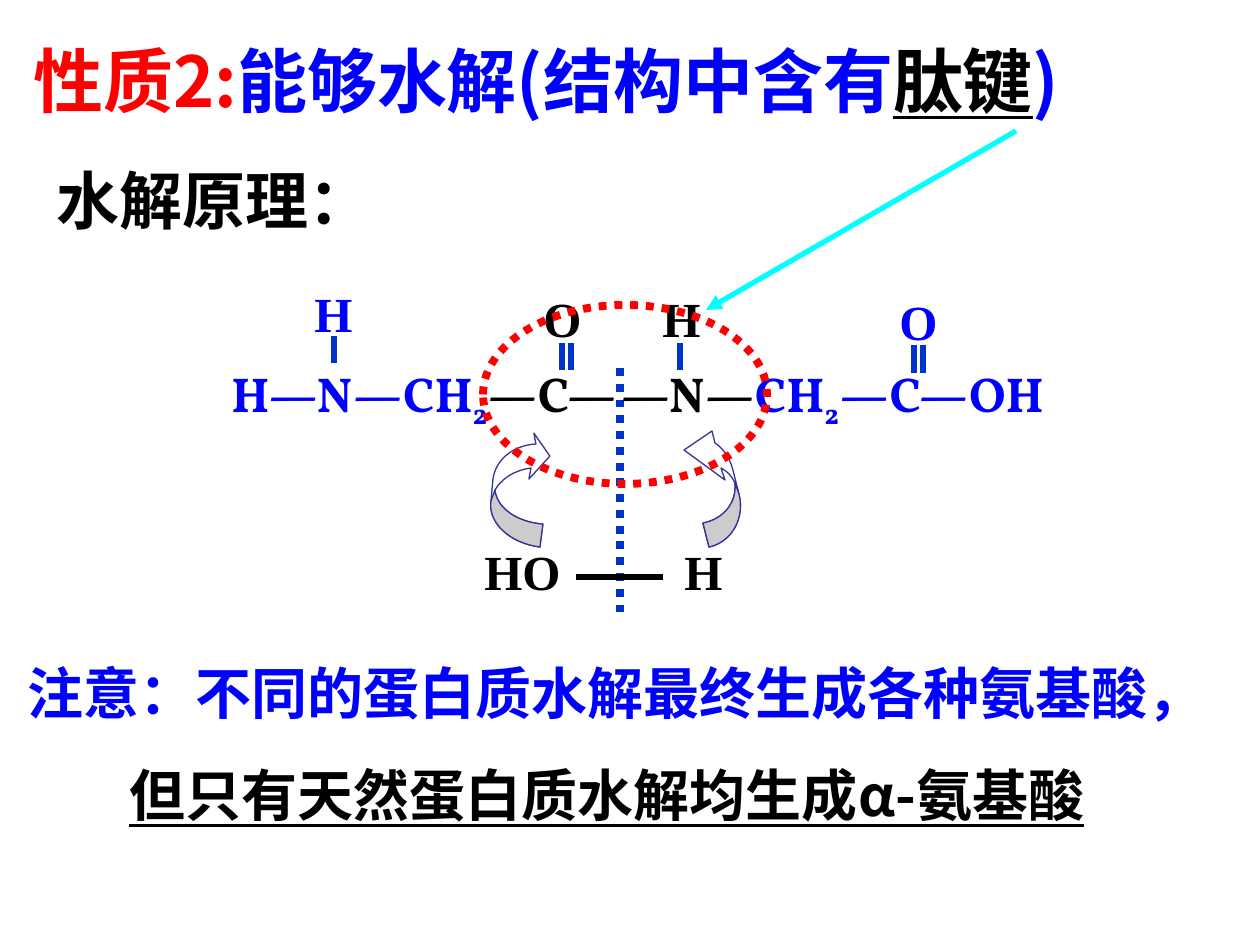
from math import cos, radians, sin
from typing import NamedTuple, Optional

from lxml import etree
from pptx import Presentation
from pptx.dml.color import RGBColor
from pptx.enum.dml import MSO_LINE
from pptx.enum.shapes import MSO_CONNECTOR, MSO_SHAPE
from pptx.oxml.ns import qn
from pptx.util import Pt

PX = 914400 / 126  # EMU in one px

BLACK = RGBColor(0, 0, 0)
BLUE = RGBColor(0, 0, 255)
RED = RGBColor(255, 0, 0)
BOND_BLUE = RGBColor(0, 0x33, 0xCC)
CYAN = RGBColor(0, 255, 255)
WHITE = RGBColor(255, 255, 255)
OUTLINE = RGBColor(0x33, 0x33, 0x99)

SERIF = "Times New Roman"
FORMULA = "Vollkorn"
CJK = "Noto Sans CJK SC"

STRAIGHT = MSO_CONNECTOR.STRAIGHT
ELLIPSE = MSO_SHAPE.OVAL
DOTTED = MSO_LINE.ROUND_DOT  # written as sysDot


class Span(NamedTuple):
    text: str
    color: RGBColor = BLACK
    underline: bool = False
    subscript: bool = False


class Atom(NamedTuple):
    text: str
    left: int
    top: int
    width: int
    color: RGBColor = BLACK


class Bond(NamedTuple):
    x: int
    top: int
    bottom: int


class CurvedArrow(NamedTuple):
    """Outlines as drawn on the slide: 2 numbers for a line, 6 for a curve."""
    left: int
    top: int
    width: int
    height: int
    rotation: float
    body: list
    tail: list


def emu(px: float) -> int:
    return round(px * PX)


def write_paragraph(paragraph, spans: list, *, size: int, font: str) -> None:
    for span in spans:
        run = paragraph.add_run()
        run.text = span.text
        run.font.size = Pt(size)
        run.font.bold = True
        run.font.name = font
        run.font.color.rgb = span.color
        if span.underline:
            run.font.underline = True
        props = run._r.get_or_add_rPr()
        if span.subscript:
            props.set("baseline", "-25000")
        etree.SubElement(props, qn("a:ea")).set("typeface", CJK)


def add_text(slide, left: int, top: int, width: int, height: int, spans: list,
             *, size: int = 28, font: str = SERIF, wrap: bool = True):
    box = slide.shapes.add_textbox(emu(left), emu(top), emu(width), emu(height))
    box.text_frame.word_wrap = wrap
    write_paragraph(box.text_frame.paragraphs[0], spans, size=size, font=font)
    return box.text_frame


def add_line(slide, start: tuple, end: tuple, *, color: RGBColor, width: float = 3,
             dash: Optional[MSO_LINE] = None, arrow: bool = False) -> None:
    line = slide.shapes.add_connector(STRAIGHT, *map(emu, start + end))
    line.line.color.rgb = color
    line.line.width = Pt(width)
    if dash is not None:
        line.line.dash_style = dash
    if arrow:
        etree.SubElement(line.line._get_or_add_ln(), qn("a:tailEnd")).set("type", "triangle")
    etree.SubElement(line._element.spPr, qn("a:effectLst"))


def unrotated(arrow: CurvedArrow, x: float, y: float) -> tuple:
    """Slide point to a point in the arrow's own box."""
    angle = radians(-arrow.rotation)
    dx = x - arrow.left - arrow.width / 2
    dy = y - arrow.top - arrow.height / 2
    return (dx * cos(angle) - dy * sin(angle) + arrow.width / 2,
            dx * sin(angle) + dy * cos(angle) + arrow.height / 2)


def add_outline(paths, arrow: CurvedArrow, outline: list, fill: str) -> None:
    path = etree.SubElement(paths, qn("a:path"), w=str(emu(arrow.width)),
                            h=str(emu(arrow.height)), fill=fill)
    for index, step in enumerate(outline):
        tag = "a:moveTo" if index == 0 else "a:lnTo" if len(step) == 2 else "a:cubicBezTo"
        node = etree.SubElement(path, qn(tag))
        for point in zip(step[::2], step[1::2]):
            x, y = unrotated(arrow, *point)
            etree.SubElement(node, qn("a:pt"), x=str(emu(x)), y=str(emu(y)))
    etree.SubElement(path, qn("a:close"))


def add_curved_arrow(slide, arrow: CurvedArrow) -> None:
    left, top = emu(arrow.left), emu(arrow.top)
    right, bottom = left + emu(arrow.width), top + emu(arrow.height)
    builder = slide.shapes.build_freeform(left, top)
    builder.add_line_segments([(right, top), (right, bottom), (left, bottom)])
    shape = builder.convert_to_shape()
    paths = shape._element.spPr.find(".//" + qn("a:pathLst"))
    for frame in list(paths):
        paths.remove(frame)
    add_outline(paths, arrow, arrow.body, "norm")
    add_outline(paths, arrow, arrow.tail, "darkenLess")
    shape.rotation = arrow.rotation
    shape.shadow.inherit = False
    shape.fill.solid()
    shape.fill.fore_color.rgb = WHITE
    shape.line.color.rgb = OUTLINE
    shape.line.width = Pt(0.75)


CURVED_ARROWS = [
    CurvedArrow(693, 418, 42, 126, 165.6,
                [(709, 547), (732, 542, 745, 518, 739, 494), (733, 470),
                 (730, 458, 723, 448, 715, 443), (712, 431), (684, 450), (725, 480),
                 (721, 468), (727, 471, 732, 476, 735, 483),
                 (737, 502, 724, 519, 703, 523)],
                [(709, 547), (732, 542, 745, 518, 739, 494), (735, 483),
                 (737, 502, 724, 519, 703, 523)]),
    CurvedArrow(462, 461, 113, 53, 276.3,
                [(540, 547), (510, 543, 488, 523, 491, 501), (493, 479),
                 (496, 458, 515, 445, 536, 444), (534, 433), (550, 456), (529, 479),
                 (531, 468), (515, 470, 502, 478, 495, 490),
                 (497, 508, 517, 522, 543, 524)],
                [(540, 547), (510, 543, 488, 523, 491, 501), (495, 490),
                 (497, 508, 517, 522, 543, 524)]),
]

ATOMS = [
    Atom("H", 302, 277, 71, BLUE),
    Atom("O", 531, 282, 91),
    Atom("H", 650, 282, 71),
    Atom("O", 887, 285, 91, BLUE),
    Atom("HO", 472, 535, 142),
    Atom("H", 672, 535, 77),
]

BONDS = [Bond(334, 336, 363), Bond(562, 343, 370), Bond(571, 343, 370),
         Bond(680, 343, 370), Bond(914, 345, 373), Bond(923, 345, 373)]


def main() -> None:
    prs = Presentation()
    prs.slide_width, prs.slide_height = emu(1260), emu(945)
    slide = prs.slides.add_slide(prs.slide_layouts[6])

    # Subtitle and curved arrows
    add_text(slide, 44, 155, 417, 88, [Span("水解原理：")], size=36)
    for arrow in CURVED_ARROWS:
        add_curved_arrow(slide, arrow)

    # Closing note
    note = add_text(slide, 15, 612, 1349, 223,
                    [Span("注意：不同的蛋白质水解最终生成各种氨基酸，", BLUE)], size=32)
    note.paragraphs[0].line_spacing = 1.6
    conclusion = note.add_paragraph()
    conclusion.space_before = Pt(20)
    conclusion._p.get_or_add_pPr().set("marL", str(emu(102)))
    write_paragraph(conclusion, [Span("但只有天然蛋白质水解均生成α-氨基酸", underline=True)],
                    size=32, font=CJK)

    # Cleavage line and dipeptide
    add_line(slide, (620, 368), (620, 620), color=BOND_BLUE, width=4.5, dash=DOTTED)
    for bond in BONDS:
        add_line(slide, (bond.x, bond.top), (bond.x, bond.bottom), color=BOND_BLUE)
    for atom in ATOMS:
        add_text(slide, atom.left, atom.top, atom.width, 72, [Span(atom.text, atom.color)])
    subscript_two = Span("2", BLUE, subscript=True)
    add_text(slide, 219, 357, 421, 79,
             [Span("H—N—CH", BLUE), subscript_two, Span("—C—")],
             font=FORMULA, wrap=False)
    add_text(slide, 608, 357, 459, 79,
             [Span("—N—"), Span("CH", BLUE), subscript_two, Span("—C—OH", BLUE)],
             font=FORMULA, wrap=False)

    # Water bond
    add_line(slide, (576, 577), (663, 577), color=BLACK)

    # Peptide bond ring and its pointer
    ring = slide.shapes.add_shape(ELLIPSE, emu(483), emu(305), emu(284), emu(179))
    ring.shadow.inherit = False
    ring.fill.background()
    ring.line.color.rgb = RED
    ring.line.width = Pt(4.5)
    ring.line.dash_style = DOTTED
    add_line(slide, (1016, 131), (706, 310), color=CYAN, arrow=True)

    # Title
    add_text(slide, 21, 31, 1176, 181,
             [Span("性质2:", RED), Span("能够水解(结构中含有", BLUE),
              Span("肽键", underline=True), Span(")", BLUE)], size=40, font=CJK)

    prs.save("out.pptx")


if __name__ == "__main__":
    main()
